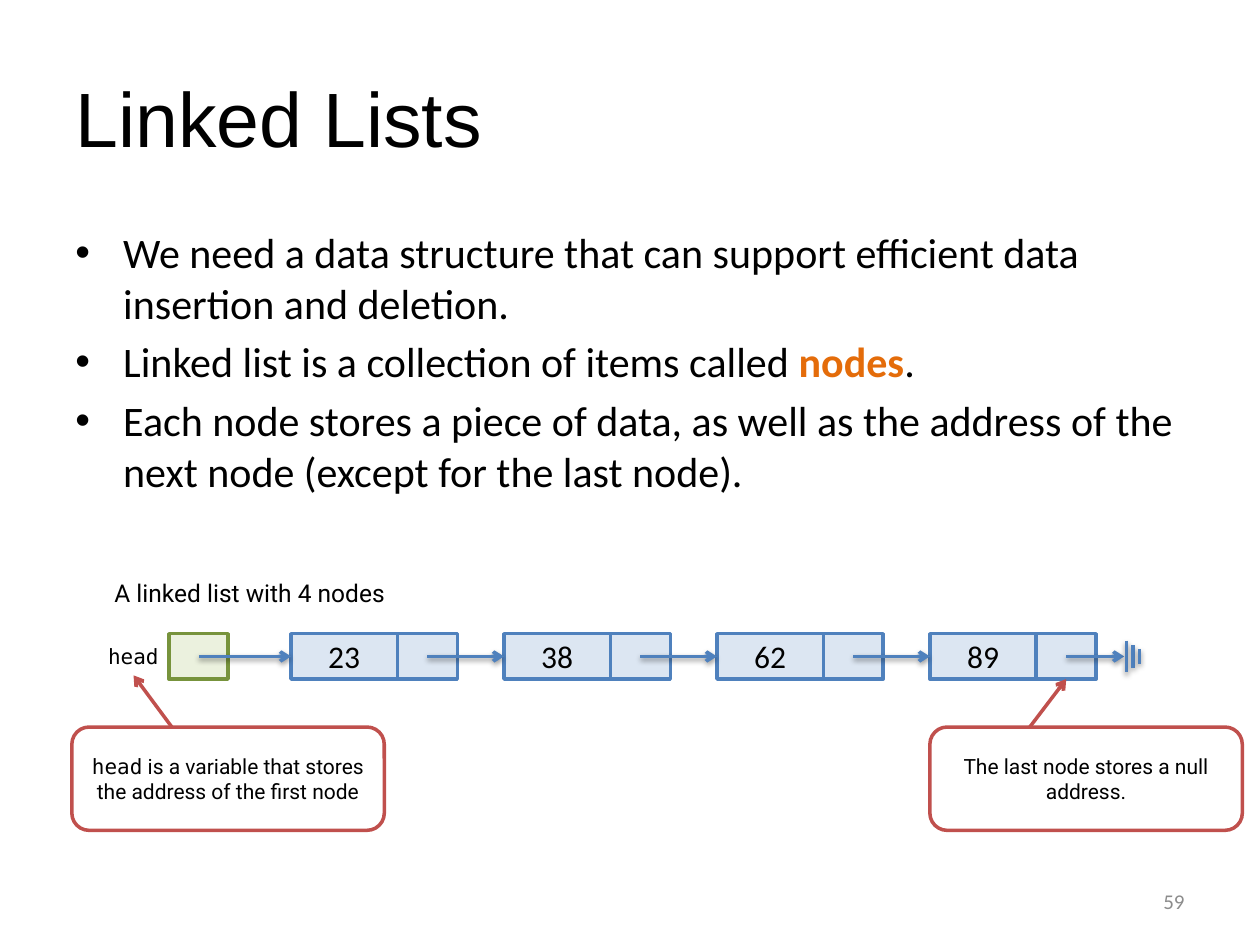
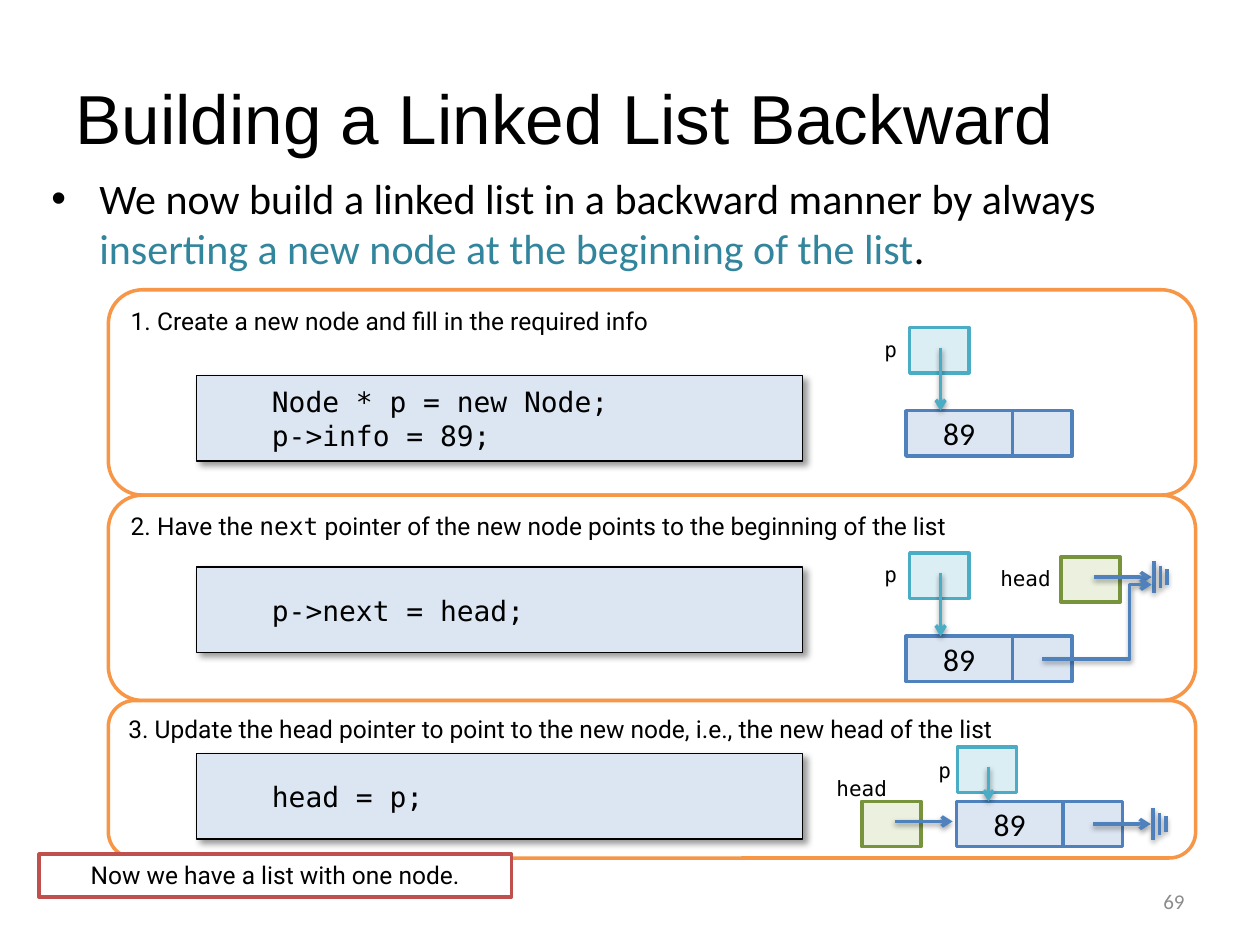
from collections import namedtuple

from lxml.etree import SubElement
from pptx import Presentation
from pptx.dml.color import RGBColor as RGB
from pptx.enum.shapes import MSO_CONNECTOR as LINK, MSO_SHAPE as SHAPE
from pptx.enum.text import MSO_ANCHOR as ANCHOR, MSO_AUTO_SIZE as FIT, PP_ALIGN as ALIGN
from pptx.oxml.ns import qn
from pptx.util import Inches, Pt

COLORS = {
    "ink": "000000", "paper": "FFFFFF", "number": "8C8C8C",
    "node": "DCE6F2", "node_line": "4F81BD",
    "head": "EBF1DE", "head_line": "77933C",
    "p": "DBEEF4", "p_line": "4BACC6",
    "callout_line": "C0504D", "step_line": "F79646",
    "term": "E46C0A", "phrase": "31859C",
}
SANS, BODY, TITLE, MONO = "Roboto", "Calibri", "Arial", "DejaVu Sans Mono"
SLIDE_W, SLIDE_H = Inches(10), Inches(7.5)
COLUMN, ROW = SLIDE_W / 100, SLIDE_H / 75
SOFT = (3.1, 1.6, 90, 38)
HARD = (4, 3, 45, 40)
POINTER_SIZE = (4.7, 3.6)
NODE_SIZE = (13.2, 3.6)
DATA_SHARE = 0.64

Box = namedtuple("Box", "x y w h")


def emu(box):
    """Turn grid columns and rows into slide lengths."""
    return (round(box.x * COLUMN), round(box.y * ROW),
            round(box.w * COLUMN), round(box.h * ROW))


def rgb(name):
    """Look up a named colour."""
    return RGB.from_string(COLORS[name])


def cast_shadow(shape, blur, distance, angle, opacity):
    """Give a shape or connector an outer shadow."""
    effects = shape.element.spPr.find(qn("a:effectLst"))
    if effects is None:
        effects = SubElement(shape.element.spPr, qn("a:effectLst"))
    outer = SubElement(effects, qn("a:outerShdw"), blurRad=str(Pt(blur)),
                       dist=str(Pt(distance)), dir=str(angle * 60000),
                       algn="ctr", rotWithShape="0")
    black = SubElement(outer, qn("a:srgbClr"), val=COLORS["ink"])
    SubElement(black, qn("a:alpha"), val=str(opacity * 1000))


def write(frame, paragraphs, size, font, color="ink", align=ALIGN.LEFT,
          anchor=ANCHOR.TOP):
    """Fill a frame with paragraphs, each a list of (text, changes) pieces."""
    frame.word_wrap = True
    frame.vertical_anchor = anchor
    for index, pieces in enumerate(paragraphs):
        paragraph = frame.add_paragraph() if index else frame.paragraphs[0]
        paragraph.alignment = align
        if isinstance(pieces, str):
            pieces = [(pieces, {})]
        paragraph.text = pieces[0][0]
        for text, _ in pieces[1:]:
            paragraph.add_run().text = text
        for run, (_, changes) in zip(paragraph.runs, pieces):
            run.font.size = Pt(size)
            run.font.name = changes.get("font", font)
            run.font.color.rgb = rgb(changes.get("color", color))
            run.font.bold = changes.get("bold", False)


def add_text(slide, box, paragraphs, size, font, **style):
    """Place a text box and return its frame."""
    frame = slide.shapes.add_textbox(*emu(box)).text_frame
    write(frame, paragraphs, size, font, **style)
    return frame


def add_label(slide, box, text, size, font):
    """Place a one-line label that hugs its text."""
    frame = add_text(slide, box, [text], size, font)
    frame.word_wrap = False
    frame.auto_size = FIT.SHAPE_TO_FIT_TEXT


def add_panel(slide, box, fill, line, preset=SHAPE.RECTANGLE, width=2):
    """Place a filled and outlined shape without a shadow."""
    panel = slide.shapes.add_shape(preset, *emu(box))
    panel.shadow.inherit = False
    panel.fill.solid()
    panel.fill.fore_color.rgb = rgb(fill)
    panel.line.color.rgb = rgb(line)
    panel.line.width = Pt(width)
    return panel


def add_line(slide, start, end, color="node_line", arrow=True, shadow=True,
             bend=None):
    """Draw a straight line, or an elbow turning at the share bend."""
    ends = [round(value * unit) for point in (start, end)
            for value, unit in zip(point, (COLUMN, ROW))]
    kind = LINK.ELBOW if bend else LINK.STRAIGHT
    link = slide.shapes.add_connector(kind, *ends)
    link.line.color.rgb = rgb(color)
    link.line.width = Pt(2)
    properties = link.element.spPr
    if arrow:
        SubElement(properties.find(qn("a:ln")), qn("a:tailEnd"), type="arrow")
    if bend:
        guides = properties.find(qn("a:prstGeom")).find(qn("a:avLst"))
        SubElement(guides, qn("a:gd"), name="adj1", fmla=f"val {round(bend * 100000)}")
    SubElement(properties, qn("a:effectLst"))
    if shadow:
        cast_shadow(link, *SOFT)
    return link


def add_frame(slide, title, number, title_size):
    """Place the title and the slide number."""
    add_text(slide, Box(5, 3, 90, 12.5), [title], title_size, TITLE,
             anchor=ANCHOR.MIDDLE)
    add_text(slide, Box(71.7, 69.5, 23.3, 4), [str(number)], 12, BODY,
             color="number", align=ALIGN.RIGHT, anchor=ANCHOR.MIDDLE)


def add_bullets(slide, box, paragraphs):
    """Place the bulleted body text."""
    frame = add_text(slide, box, paragraphs, 24, BODY)
    for index, paragraph in enumerate(frame.paragraphs):
        indent = Inches(0.38)
        properties = paragraph._p.get_or_add_pPr()
        properties.set("marL", str(indent))
        properties.set("indent", str(-indent))
        SubElement(properties, qn("a:buFont"), typeface=TITLE)
        SubElement(properties, qn("a:buChar"), char="•")
        if index:
            paragraph.space_before = Pt(4.8)


def add_node(slide, box, value):
    """Place a node and return its data and pointer cells."""
    data_w = box.w * DATA_SHARE
    data = add_panel(slide, box._replace(w=data_w), "node", "node_line")
    write(data.text_frame, [str(value)], 18, BODY, align=ALIGN.CENTER,
          anchor=ANCHOR.MIDDLE)
    pointer = add_panel(slide, box._replace(x=box.x + data_w, w=box.w - data_w),
                        "node", "node_line")
    return data, pointer


def pointer_middle(box):
    """Return the centre of a node's pointer cell."""
    return box.x + box.w * (1 + DATA_SHARE) / 2, box.y + box.h / 2


def add_variable(slide, box, name, label_shift):
    """Place a pointer variable with its name beside it."""
    add_panel(slide, box, name, f"{name}_line")
    label_w = 6.1 if name == "head" else 3
    add_label(slide, Box(box.x + label_shift[0], box.y + label_shift[1], label_w, 3),
              name, 12, MONO)


def add_null(slide, box):
    """Draw the null symbol as three shrinking bars."""
    middle = box.y + box.h / 2
    for index, share in enumerate((1, 0.72, 0.48)):
        x, half = box.x + index * box.w / 2, box.h * share / 2
        add_line(slide, (x, middle - half), (x, middle + half), arrow=False)


def add_null_link(slide, start):
    """Point from a pointer cell to the null symbol."""
    x, y = start
    add_line(slide, start, (x + 4.6, y))
    add_null(slide, Box(x + 4.8, y - 1.25, 1, 2.5))


def add_callout(slide, box, pieces, tail, tip):
    """Place a rounded callout whose arrow leaves its top at the share tail."""
    callout = add_panel(slide, box, "paper", "callout_line", SHAPE.ROUNDED_RECTANGLE)
    write(callout.text_frame, [pieces], 12, SANS, align=ALIGN.CENTER,
          anchor=ANCHOR.MIDDLE)
    return add_line(slide, (box.x + box.w * tail, box.y), tip,
                    "callout_line", shadow=False)


def add_chain(slide, box, values):
    """Place the head variable, its chain of nodes and the closing null."""
    add_label(slide, Box(box.x - 5.3, box.y - 4.9, 27.7, 3.4),
              "A linked list with 4 nodes", 14, SANS)
    add_variable(slide, Box(box.x, box.y, *POINTER_SIZE), "head", (-5.8, 0.3))
    start = box.x + 2.4, box.y + box.h / 2
    for index, value in enumerate(values):
        node = Box(box.x + 9.7 + index * 16.9, box.y, *NODE_SIZE)
        data, pointer = add_node(slide, node, value)
        link = add_line(slide, start, (node.x, node.y + node.h / 2))
        link.end_connect(data, 1)
        start = pointer_middle(node)
    add_null_link(slide, start)
    return pointer


def add_step(slide, box, heading, code, code_top):
    """Place a step panel with its heading and code."""
    panel = add_panel(slide, box, "paper", "step_line", SHAPE.ROUNDED_RECTANGLE)
    write(panel.text_frame, [heading], 14, SANS)
    listing = add_panel(slide, Box(box.x + 7, box.y + code_top, 48.1, 6.8),
                        "node", "ink", width=0.75)
    cast_shadow(listing, *HARD)
    write(listing.text_frame, code, 16, MONO, anchor=ANCHOR.MIDDLE)
    for paragraph in listing.text_frame.paragraphs:
        tabs = SubElement(paragraph._p.get_or_add_pPr(), qn("a:tabLst"))
        SubElement(tabs, qn("a:tab"), pos=str(Inches(0.5)), algn="l")


def add_new_node(slide, box, p_shift, label_shift):
    """Place node 89 with variable p above pointing to it."""
    add_node(slide, box, 89)
    p = Box(box.x + p_shift[0], box.y + p_shift[1], *POINTER_SIZE)
    add_variable(slide, p, "p", label_shift)
    x = p.x + 2.45
    add_line(slide, (x, p.y + 1.6), (x, box.y), "p_line")


def build_overview(slide):
    """Build the slide that introduces linked lists."""
    add_frame(slide, "Linked Lists", 59, 44)
    add_bullets(slide, Box(5, 17.5, 90, 49.5), [
        "We need a data structure that can support efficient data insertion and deletion.",
        [("Linked list is a collection of items called ", {}),
         ("nodes", {"color": "term", "bold": True}), (".", {})],
        "Each node stores a piece of data, as well as the address of the next node "
        "(except for the last node).",
    ])
    last_pointer = add_chain(slide, Box(13.4, 50.3, 77.2, 3.6), (23, 38, 62, 89))
    add_callout(slide, Box(5.7, 57.7, 24.8, 8.2),
                [("head", {"font": MONO}),
                 (" is a variable that stores the address of the first node", {})],
                0.32, (10.6, 53.6))
    link = add_callout(slide, Box(73.8, 57.7, 24.8, 8.2),
                       "The last node stores a null address.", 0.32, (84.6, 53.9))
    link.end_connect(last_pointer, 2)


def build_backward(slide):
    """Build the slide that inserts the first node in three steps."""
    add_frame(slide, "Building a Linked List Backward", 69, 39.6)
    add_bullets(slide, Box(3.1, 13.2, 93.9, 54.9), [[
        ("We now build a linked list in a backward manner by always ", {}),
        ("inserting a new node at the beginning of the list", {"color": "phrase"}),
        (".", {})]])

    create = Box(8.6, 23, 86.3, 16.3)
    link = create._replace(y=create.y + create.h)
    update = link._replace(y=link.y + link.h, h=12.5)

    add_step(slide, create, "1. Create a new node and fill in the required info",
             ["\tNode * p = new Node;", "\tp->info = 89;"], 6.8)
    add_new_node(slide, Box(create.x + 63.3, create.y + 9.6, *NODE_SIZE),
                 (0.3, -6.6), (-3, 0.2))

    add_step(slide, link,
             [("2. Have the ", {}), ("next", {"font": MONO}),
              (" pointer of the new node points to the beginning of the list", {})],
             ["\tp->next = head;"], 5.7)
    node = Box(link.x + 63.3, link.y + 11.2, *NODE_SIZE)
    add_new_node(slide, node, (0.3, -6.6), (-3, 0.2))
    head = Box(link.x + 75.6, link.y + 4.9, *POINTER_SIZE)
    add_variable(slide, head, "head", (-5.8, 0.2))
    add_null_link(slide, (head.x + 2.6, head.y + 1.6))
    add_line(slide, pointer_middle(node), (head.x + 7.2, head.y + 2.2), bend=0.8)

    add_step(slide, update,
             "3. Update the head pointer to point to the new node, i.e., "
             "the new head of the list", ["\thead = p;"], 4.2)
    node = Box(update.x + 67.3, update.y + 8, *NODE_SIZE)
    add_new_node(slide, node, (0.1, -4.3), (-2.5, 0.3))
    head = Box(update.x + 59.8, update.y + 8, *POINTER_SIZE)
    add_variable(slide, head, "head", (-3, -2.5))
    add_line(slide, (head.x + 2.6, head.y + 1.6), (head.x + 7.2, head.y + 1.6))
    add_null_link(slide, pointer_middle(node))

    result = add_panel(slide, Box(3.1, 67.8, 37.5, 3.4), "paper", "callout_line")
    write(result.text_frame, ["Now we have a list with one node."], 14, SANS,
          align=ALIGN.CENTER)


def main():
    """Build and save the presentation."""
    deck = Presentation()
    deck.slide_width, deck.slide_height = SLIDE_W, SLIDE_H
    for build in (build_overview, build_backward):
        build(deck.slides.add_slide(deck.slide_layouts[6]))
    deck.save("out.pptx")


if __name__ == "__main__":
    main()
